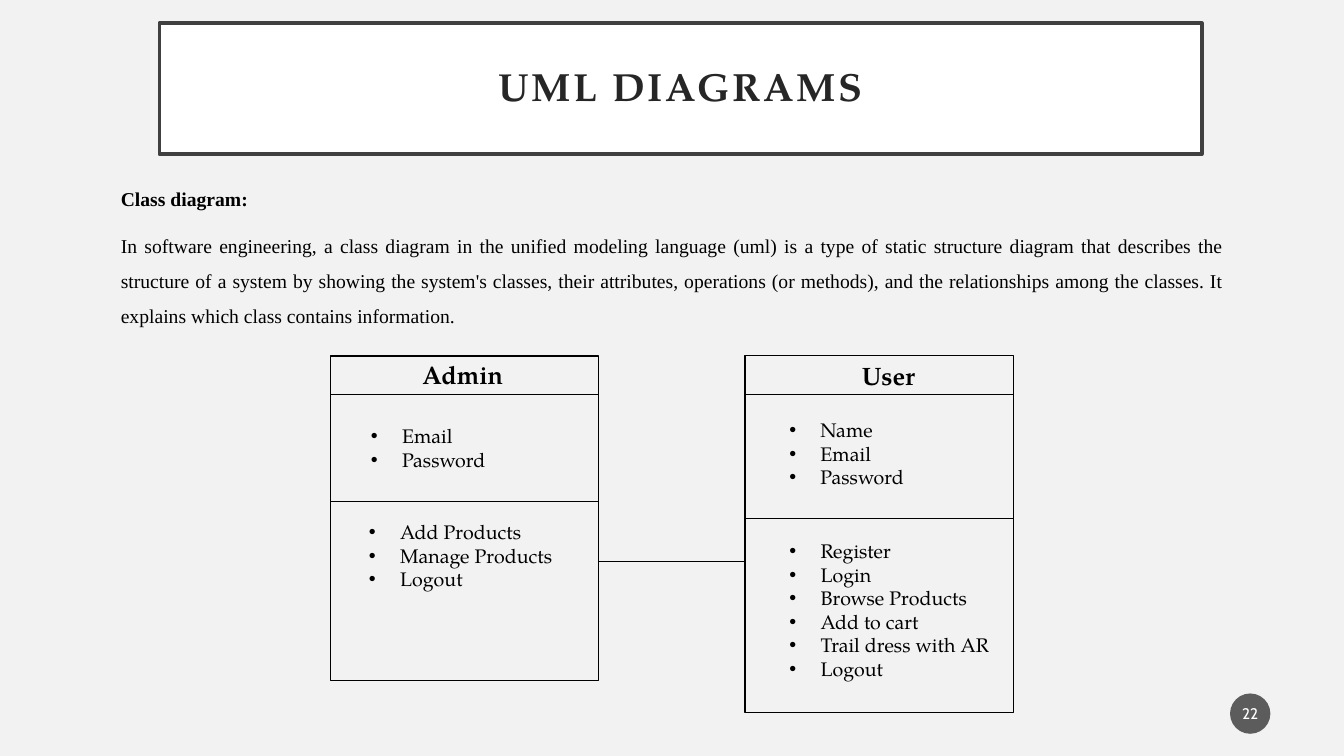
from dataclasses import dataclass

from lxml import etree
from pptx import Presentation
from pptx.dml.color import RGBColor
from pptx.enum import shapes, text
from pptx.oxml import ns
from pptx.util import Inches, Pt


@dataclass(frozen=True)
class Theme:
    background: str = "F2F2F2"
    panel: str = "FFFFFF"
    border: str = "404040"
    heading: str = "262626"
    ink: str = "000000"
    badge: str = "1D1D1D"
    badge_text: str = "FFFFFF"
    display_font: str = "TeX Gyre Pagella"
    body_font: str = "Times New Roman"
    number_font: str = "Cabin"
    title_size: float = 28
    class_size: float = 18
    body_size: float = 14
    number_size: float = 11


THEME = Theme()
CLASS_TOP, CLASS_WIDTH, NAME_LINE = 3.53, 2.66, 3.91
ADMIN_LEFT, USER_LEFT = 3.28, 7.39
LINK_Y = 5.57
BULLET_INDENT = 0.31

DEFINITION = (
    "In software engineering, a class diagram in the unified modeling language (uml) "
    "is a type of static structure diagram that describes the structure of a system by "
    "showing the system's classes, their attributes, operations (or methods), and the "
    "relationships among the classes. It explains which class contains information."
)


def rgb(value):
    return RGBColor.from_string(value)


def format_runs(p, font, size, color, bold=False):
    for r in p.runs:
        r.font.name = font
        r.font.size = Pt(size)
        r.font.bold = bold
        r.font.color.rgb = rgb(color)


def add_box(s, kind, at, fill=None, line=None, width=1):
    sp = s.shapes.add_shape(kind, *map(Inches, at))
    sp.shadow.inherit = False
    if fill:
        sp.fill.solid()
        sp.fill.fore_color.rgb = rgb(fill)
    else:
        sp.fill.background()
    if line:
        sp.line.color.rgb = rgb(line)
        sp.line.width = Pt(width)
    else:
        sp.line.fill.background()
    return sp


def set_label(sp, label, margins, font, size, color, bold=False):
    tf = sp.text_frame
    tf.word_wrap = True
    tf.vertical_anchor = text.MSO_ANCHOR.MIDDLE
    tf.margin_left = tf.margin_right = Inches(margins[0])
    tf.margin_top = tf.margin_bottom = Inches(margins[1])
    tf.text = label
    p = tf.paragraphs[0]
    p.alignment = text.PP_ALIGN.CENTER
    format_runs(p, font, size, color, bold)
    return p


def add_text(s, at, lines):
    tf = s.shapes.add_textbox(*map(Inches, at)).text_frame
    tf.word_wrap = True
    tf.text = "\n".join(lines)
    return tf


def add_line(s, left, right, y):
    line = s.shapes.add_connector(
        shapes.MSO_CONNECTOR.STRAIGHT, Inches(left), Inches(y), Inches(right), Inches(y)
    )
    line.line.color.rgb = rgb(THEME.ink)
    line.line.width = Pt(0.5)
    etree.SubElement(line._element.spPr, ns.qn("a:effectLst"))


def add_bullets(s, at, items):
    for p in add_text(s, at, items).paragraphs:
        format_runs(p, THEME.display_font, THEME.body_size, THEME.ink)
        pPr = p._p.get_or_add_pPr()
        pPr.set("marL", str(Inches(BULLET_INDENT)))
        pPr.set("indent", str(-Inches(BULLET_INDENT)))
        etree.SubElement(pPr, ns.qn("a:buFont"), typeface="Arial")
        etree.SubElement(pPr, ns.qn("a:buChar"), char="•")


def add_class(s, left, height, divider, name, name_at, attributes, operations):
    add_box(s, shapes.MSO_SHAPE.RECTANGLE, (left, CLASS_TOP, CLASS_WIDTH, height), line=THEME.ink)
    for y in (NAME_LINE, divider):
        add_line(s, left, left + CLASS_WIDTH, y)
    tf = add_text(s, (*name_at, 1.04, 0.4), [name])
    format_runs(tf.paragraphs[0], THEME.display_font, THEME.class_size, THEME.ink, True)
    for at, items in (attributes, operations):
        add_bullets(s, at, items)


def add_title(s, label):
    sp = add_box(
        s, shapes.MSO_SHAPE.RECTANGLE, (1.58, 0.23, 10.34, 1.3), THEME.panel, THEME.border, 2.5
    )
    p = set_label(
        sp, label, (0.2, 0.2), THEME.display_font, THEME.title_size, THEME.heading, True
    )
    p.line_spacing = 0.9
    p.runs[0].font._element.set("spc", "200")


def add_definition(s, term, definition):
    tf = add_text(s, (1.1, 1.69, 11.14, 1.75), [term, definition])
    for p, bold in zip(tf.paragraphs, (True, False)):
        p.alignment = text.PP_ALIGN.JUSTIFY
        p.line_spacing = 1.5
        p.space_after = Pt(8)
        format_runs(p, THEME.body_font, THEME.body_size, THEME.ink, bold)


def add_page_number(s, number):
    sp = add_box(s, shapes.MSO_SHAPE.OVAL, (12.2, 6.88, 0.4, 0.4), THEME.badge)
    color = sp._element.spPr.find(".//" + ns.qn("a:srgbClr"))
    etree.SubElement(color, ns.qn("a:alpha"), val="70000")
    set_label(sp, number, (0.02, 0.05), THEME.number_font, THEME.number_size, THEME.badge_text)


def main():
    prs = Presentation()
    prs.slide_width, prs.slide_height = Inches(13.33), Inches(7.5)
    s = prs.slides.add_slide(prs.slide_layouts[6])
    s.background.fill.solid()
    s.background.fill.fore_color.rgb = rgb(THEME.background)

    add_title(s, "UML DIAGRAMS")
    add_definition(s, "Class diagram:", DEFINITION)
    add_class(
        s, ADMIN_LEFT, 3.22, 4.97, "Admin", (4.09, 3.52),
        ((3.58, 4.16, 1.93, 0.57), ["Email", "Password"]),
        ((3.56, 5.11, 2.32, 0.81), ["Add Products", "Manage Products", "Logout"]),
    )
    add_class(
        s, USER_LEFT, 3.54, 5.14, "User", (8.45, 3.53),
        ((7.73, 4.1, 1.93, 0.81), ["Name", "Email", "Password"]),
        (
            (7.73, 5.3, 2.32, 1.51),
            ["Register", "Login", "Browse Products", "Add to cart", "Trail dress with AR", "Logout"],
        ),
    )
    add_line(s, ADMIN_LEFT + CLASS_WIDTH, USER_LEFT, LINK_Y)
    add_page_number(s, "22")
    prs.save("out.pptx")


if __name__ == "__main__":
    main()
